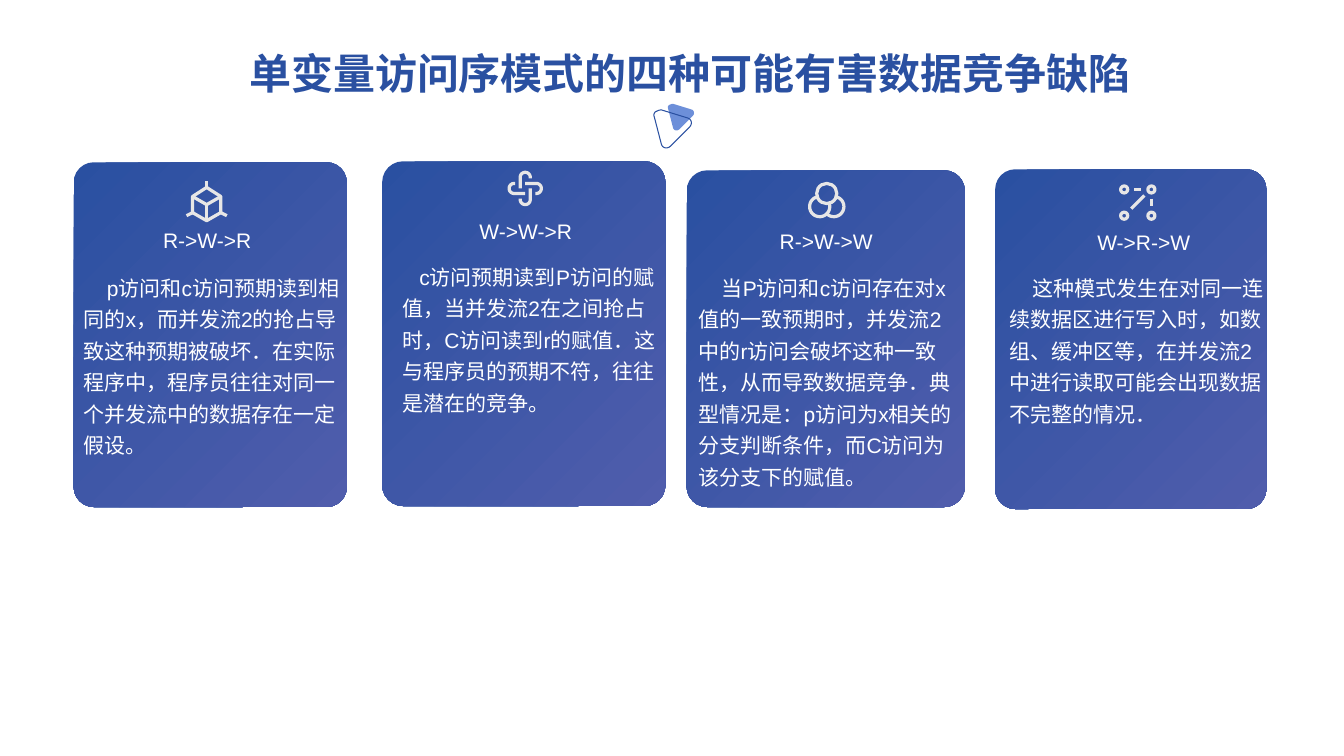
import math

import lxml.etree
import pptx
import pptx.dml.color
import pptx.enum.shapes
import pptx.enum.text
import pptx.oxml.ns
import pptx.util

Inches = pptx.util.Inches
SHAPES = pptx.enum.shapes.MSO_SHAPE
ALIGN = pptx.enum.text.PP_ALIGN

THEME = {
    "blue": "2A50A1", "violet": "505DAC", "light_blue": "6D8FD9",
    "icon": "E7E6E6", "white": "FFFFFF", "font": "Arial",
    "title_size": 30, "text_size": 15, "icon_width": 2.31, "thin_width": 0.75,
}
TITLE = "单变量访问序模式的四种可能有害数据竞争缺陷"
CARDS = [
    {"icon": "cube", "box": (0.73, 1.61, 2.71, 3.42),
     "label": "R->W->R", "label_box": (1.61, 2.26, 0.89, 0.25),
     "body": "p访问和c访问预期读到相同的x，而并发流2的抢占导致这种预期被破坏．在实际程序中，"
             "程序员往往对同一个并发流中的数据存在一定假设。",
     "body_box": (0.83, 2.67, 2.55, 1.85), "indent": 0.23},
    {"icon": "knot", "box": (3.79, 1.6, 2.81, 3.42),
     "label": "W->W->R", "label_box": (4.75, 2.17, 0.93, 0.25),
     "body": "c访问预期读到P访问的赋值，当并发流2在之间抢占时，C访问读到r的赋值．"
             "这与程序员的预期不符，往往是潜在的竞争。",
     "body_box": (3.99, 2.56, 2.55, 1.53), "indent": 0.17},
    {"icon": "rings", "box": (6.81, 1.69, 2.76, 3.34),
     "label": "R->W->W", "label_box": (7.73, 2.27, 0.93, 0.25),
     "body": "当P访问和c访问存在对x值的一致预期时，并发流2中的r访问会破坏这种一致性，"
             "从而导致数据竞争．典型情况是：p访问为x相关的分支判断条件，而C访问为该分支下的赋值。",
     "body_box": (6.93, 2.67, 2.55, 2.17), "indent": 0.23},
    {"icon": "nodes", "box": (9.87, 1.68, 2.69, 3.37),
     "label": "W->R->W", "label_box": (10.88, 2.28, 0.93, 0.25),
     "body": "这种模式发生在对同一连续数据区进行写入时，如数组、缓冲区等，"
             "在并发流2中进行读取可能会出现数据不完整的情况．",
     "body_box": (10.01, 2.67, 2.55, 1.53), "indent": 0.23},
]
# Rounded triangle: straight ends alternate with Bezier corners (three points each).
TRIANGLE_START = (0.36, 0.17)
TRIANGLE_STEPS = [
    [(0.17, 0.36)], [(0.14, 0.39), (0.09, 0.38), (0.08, 0.34)],
    [(0.01, 0.07)], [(0, 0.05), (0.01, 0.03), (0.02, 0.02)],
    [(0.04, 0.01), (0.06, 0), (0.08, 0)],
    [(0.34, 0.08)], [(0.38, 0.09), (0.39, 0.14), (0.36, 0.17)],
]


def color(name):
    return pptx.dml.color.RGBColor.from_string(THEME[name])


def paint(shape, fill=None, line=None, width=THEME["icon_width"]):
    shape.shadow.inherit = False
    if fill:
        shape.fill.solid()
        shape.fill.fore_color.rgb = color(fill)
    else:
        shape.fill.background()
    if line:
        shape.line.color.rgb = color(line)
        shape.line.width = pptx.util.Pt(width)
    else:
        shape.line.fill.background()


def add_outline(shapes, points, closed=False, **style):
    corners = [(Inches(x), Inches(y)) for x, y in points]
    builder = shapes.build_freeform(*corners[0])
    builder.add_line_segments(corners[1:], close=closed)
    paint(builder.convert_to_shape(), **style)


def add_icon_line(shapes, start, end):
    connector = shapes.add_connector(
        pptx.enum.shapes.MSO_CONNECTOR.STRAIGHT, *map(Inches, start + end))
    connector.line.color.rgb = color("icon")
    connector.line.width = pptx.util.Pt(THEME["icon_width"])
    properties = connector._element.spPr
    lxml.etree.SubElement(properties, pptx.oxml.ns.qn("a:effectLst"))


def add_icon_circle(shapes, x, y, radius):
    circle = shapes.add_shape(
        SHAPES.OVAL, *map(Inches, (x - radius, y - radius, 2 * radius, 2 * radius)))
    paint(circle, line="icon")


def arc(x, y, radius, start, end, steps=24):
    """Points of an arc; degrees run clockwise from the right."""
    angles = [math.radians(start + (end - start) * i / steps) for i in range(steps + 1)]
    return [(x + radius * math.cos(a), y + radius * math.sin(a)) for a in angles]


def bezier(points, steps=8):
    weights = (1, 3, 3, 1)
    return [tuple(sum(w * p[axis] * (1 - i / steps) ** (3 - k) * (i / steps) ** k
                      for k, (w, p) in enumerate(zip(weights, points)))
                  for axis in (0, 1))
            for i in range(1, steps + 1)]


def add_triangle(shapes, left, top, scale, **style):
    points = [TRIANGLE_START]
    for step in TRIANGLE_STEPS:
        points += bezier([points[-1]] + step) if len(step) == 3 else step
    placed = [(left + x * scale, top + y * scale) for x, y in points]
    add_outline(shapes, placed, closed=True, **style)


def draw_cube(shapes):
    left, middle, right = 1.91, 2.05, 2.19
    top, bottom, center = (middle, 1.86), (middle, 2.19), (middle, 2.03)
    hexagon = [top, (right, 1.95), (right, 2.11), bottom, (left, 2.11), (left, 1.95)]
    add_outline(shapes, hexagon, closed=True, line="icon")
    add_outline(shapes, [(left, 1.95), center, (right, 1.95)], line="icon")
    for start, end in [(center, bottom), ((middle, 1.8), top),
                       ((right, 2.11), (2.25, 2.14)), ((1.85, 2.14), (left, 2.11))]:
        add_icon_line(shapes, start, end)


def draw_knot(shapes):
    x, y = 5.21, 1.87
    arm = [(-0.05, 0)] + arc(0, -0.11, 0.05, 180, 360) + [(0.05, -0.1)]
    for _ in range(4):
        add_outline(shapes, [(x + dx, y + dy) for dx, dy in arm], line="icon")
        arm = [(dy, -dx) for dx, dy in arm]


def draw_rings(shapes):
    add_outline(shapes, arc(8.27, 2.05, 0.1, 131, -78), line="icon")
    add_outline(shapes, arc(8.13, 2.05, 0.1, 258, -17), line="icon")
    add_icon_circle(shapes, 8.2, 1.92, 0.1)


def draw_nodes(shapes):
    for x in (11.15, 11.42):
        for y in (1.88, 2.14):
            add_icon_circle(shapes, x, y, 0.035)
    for start, end in [((11.25, 1.88), (11.32, 1.88)), ((11.35, 1.94), (11.22, 2.07)),
                       ((11.42, 1.97), (11.42, 2.04))]:
        add_icon_line(shapes, start, end)


ICONS = {"cube": draw_cube, "knot": draw_knot, "rings": draw_rings, "nodes": draw_nodes}


def write(shape, text, font, wrap, indent=0, **paragraph_format):
    frame = shape.text_frame
    frame_format = {"margin_left": 0, "margin_top": 0, "margin_right": 0,
                    "margin_bottom": 0, "word_wrap": wrap,
                    "auto_size": pptx.enum.text.MSO_AUTO_SIZE.NONE,
                    "vertical_anchor": pptx.enum.text.MSO_ANCHOR.TOP}
    for name, value in frame_format.items():
        setattr(frame, name, value)
    paragraph = frame.paragraphs[0]
    for name, value in paragraph_format.items():
        setattr(paragraph, name, value)
    if indent:
        paragraph._p.get_or_add_pPr().set("indent", str(Inches(indent)))
    run = paragraph.add_run()
    run.text = text
    run.font.name = THEME["font"]
    run.font.size = pptx.util.Pt(THEME[font["size"]])
    run.font.bold = font["bold"]
    run.font.color.rgb = color(font["color"])


def add_card(slide, card):
    shapes = slide.shapes.add_group_shape().shapes
    panel = shapes.add_shape(SHAPES.ROUNDED_RECTANGLE, *map(Inches, card["box"]))
    panel.adjustments[0] = 0.074
    paint(panel)
    panel.fill.gradient()
    panel.fill.gradient_angle = 315
    for stop, name, position in zip(panel.fill.gradient_stops, ("blue", "violet"), (0, 1)):
        stop.color.rgb = color(name)
        stop.position = position
    ICONS[card["icon"]](shapes)
    font = {"size": "text_size", "bold": False, "color": "white"}
    label = shapes.add_textbox(*map(Inches, card["label_box"]))
    write(label, card["label"], font, False, alignment=ALIGN.CENTER)
    body = shapes.add_textbox(*map(Inches, card["body_box"]))
    write(body, card["body"], font, True, card["indent"], line_spacing=1.25)


def main():
    presentation = pptx.Presentation()
    presentation.slide_width, presentation.slide_height = Inches(13.33), Inches(7.5)
    slide = presentation.slides.add_slide(presentation.slide_layouts[5])
    title = slide.shapes.title
    title.left, title.top, title.width, title.height = map(Inches, (2.41, 0.47, 8.87, 0.5))
    write(title, TITLE, {"size": "title_size", "bold": True, "color": "blue"}, False,
          alignment=ALIGN.CENTER)
    add_triangle(slide.shapes, 6.62, 1.03, 0.7, fill="light_blue")
    add_triangle(slide.shapes, 6.48, 1.09, 1, line="blue", width=THEME["thin_width"])
    for card in CARDS:
        add_card(slide, card)
    presentation.save("out.pptx")


if __name__ == "__main__":
    main()
